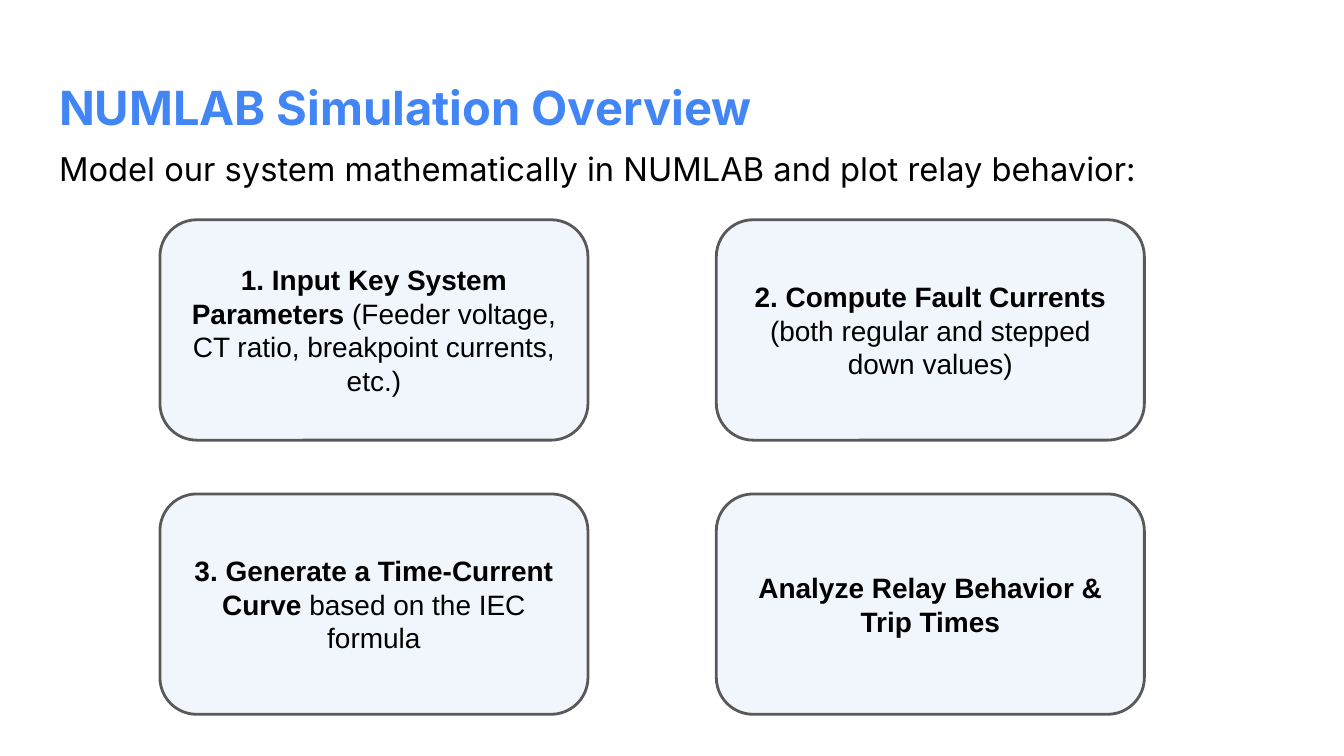
from pptx import Presentation
from pptx import util as u
from pptx.dml.color import RGBColor
from pptx.enum import shapes, text

COLORS = {
    "title": "4285F4",
    "body": "000000",
    "card": "F0F6FC",
    "border": "595959",
}
SLIDE = {"width": 20, "height": 11.25}
GRID = {"left": 2.38, "top": 3.27, "column": 8.28, "row": 4.08}
CARD = {"width": 6.37, "height": 3.28, "corner": 0.167, "columns": 2}
HEADINGS = [
    ("NUMLAB Simulation Overview", 0.97,
     {"name": "Inter", "size": u.Pt(50.4), "bold": True}, "title"),
    ("Model our system mathematically in NUMLAB and plot relay behavior:", 2.01,
     {"name": "Inter", "size": u.Pt(35), "bold": False}, "body"),
]
STEPS = [
    ("1. Input Key System Parameters ",
     "(Feeder voltage, CT ratio, breakpoint currents, etc.)"),
    ("2. Compute Fault Currents ", "(both regular and stepped down values)"),
    ("3. Generate a Time-Current Curve ", "based on the IEC formula"),
    ("Analyze Relay Behavior & Trip Times", ""),
]


def color(name):
    return RGBColor.from_string(COLORS[name])


def set_frame(frame, margin, anchor):
    values = {"word_wrap": True, "vertical_anchor": anchor}
    for side in ("left", "top", "right", "bottom"):
        values[f"margin_{side}"] = u.Inches(margin)
    for name, value in values.items():
        setattr(frame, name, value)


def add_span(para, words, values, color_name):
    span = para.add_run()
    span.text = words
    for name, value in values.items():
        setattr(span.font, name, value)
    span.font.color.rgb = color(color_name)


def add_heading(page, words, top, values, color_name):
    left = SLIDE["width"] * 0.034
    width = SLIDE["width"] - 2 * left
    box = page.shapes.add_textbox(
        u.Inches(left), u.Inches(top), u.Inches(width), u.Inches(1.25))
    set_frame(box.text_frame, 0.2, text.MSO_ANCHOR.TOP)
    add_span(box.text_frame.paragraphs[0], words, values, color_name)


def add_card(page, index, lead, detail):
    row, column = divmod(index, CARD["columns"])
    card = page.shapes.add_shape(
        shapes.MSO_SHAPE.ROUNDED_RECTANGLE,
        u.Inches(GRID["left"] + column * GRID["column"]),
        u.Inches(GRID["top"] + row * GRID["row"]),
        u.Inches(CARD["width"]), u.Inches(CARD["height"]))
    card.adjustments[0] = CARD["corner"]
    card.shadow.inherit = False
    card.fill.solid()
    card.fill.fore_color.rgb = color("card")
    card.line.color.rgb = color("border")
    card.line.width = u.Pt(3)
    set_frame(card.text_frame, 0.1, text.MSO_ANCHOR.MIDDLE)
    para = card.text_frame.paragraphs[0]
    para.alignment = text.PP_ALIGN.CENTER
    for words, bold in ((lead, True), (detail, False)):
        if words:
            values = {"name": "Arial", "size": u.Pt(30), "bold": bold}
            add_span(para, words, values, "body")


def main():
    deck = Presentation()
    deck.slide_width = u.Inches(SLIDE["width"])
    deck.slide_height = u.Inches(SLIDE["height"])
    page = deck.slides.add_slide(deck.slide_layouts[6])
    for heading in HEADINGS:
        add_heading(page, *heading)
    for index, (lead, detail) in enumerate(STEPS):
        add_card(page, index, lead, detail)
    deck.save("out.pptx")


if __name__ == "__main__":
    main()
